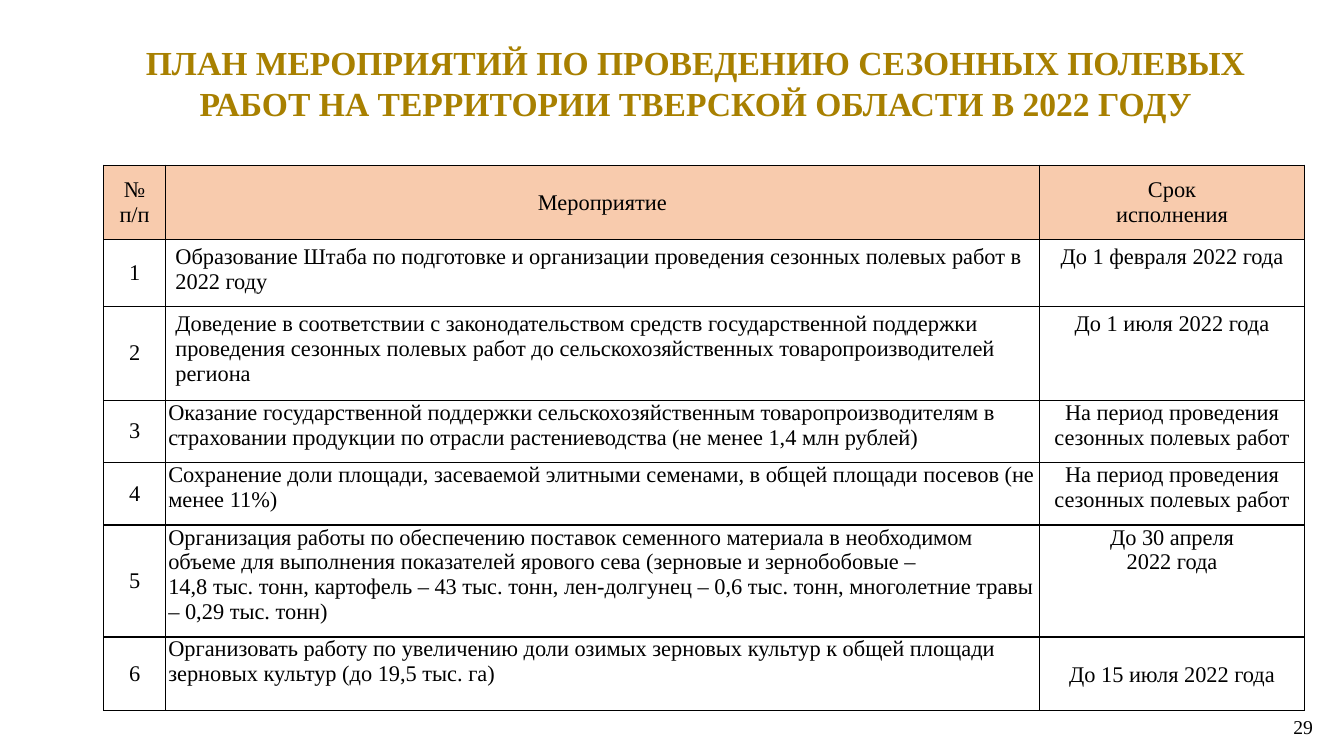
from lxml import etree
from pptx import Presentation
from pptx.dml.color import RGBColor
from pptx.enum.text import MSO_ANCHOR, PP_ALIGN
from pptx.oxml.ns import qn
from pptx.util import Inches, Pt

LEFT, CENTER, RIGHT = PP_ALIGN.LEFT, PP_ALIGN.CENTER, PP_ALIGN.RIGHT
TOP, MIDDLE = MSO_ANCHOR.TOP, MSO_ANCHOR.MIDDLE
TITLE_ONLY = 5

HEADER = ["№\nп/п", "Мероприятие", "Срок\nисполнения"]
ACTIVITIES = [
    ("Образование Штаба по подготовке и организации проведения сезонных полевых работ в 2022 году",
     "До 1 февраля 2022 года"),
    ("Доведение в соответствии с законодательством средств государственной поддержки проведения "
     "сезонных полевых работ до сельскохозяйственных товаропроизводителей региона",
     "До 1 июля 2022 года"),
    ("Оказание государственной поддержки сельскохозяйственным товаропроизводителям в страховании "
     "продукции по отрасли растениеводства (не менее 1,4 млн рублей)",
     "На период проведения сезонных полевых работ"),
    ("Сохранение доли площади, засеваемой элитными семенами, в общей площади посевов (не менее 11%)",
     "На период проведения сезонных полевых работ"),
    ("Организация работы по обеспечению поставок семенного материала в необходимом объеме для "
     "выполнения показателей ярового сева (зерновые и зернобобовые –\v14,8 тыс. тонн, картофель – "
     "43 тыс. тонн, лен-долгунец – 0,6 тыс. тонн, многолетние травы – 0,29 тыс. тонн)",
     "До 30 апреля\n2022 года"),
    ("Организовать работу по увеличению доли озимых зерновых культур к общей площади зерновых "
     "культур (до 19,5 тыс. га)",
     "До 15 июля 2022 года"),
]
COLUMN_WIDTHS = [0.61, 8.67, 2.63]
ROW_HEIGHTS = [0.74, 0.66, 0.93, 0.62, 0.62, 1.11, 0.73]
WIDE_INSETS = (0.1, 0.05, 0.1, 0.05)
TIGHT_INSETS = (0.03, 0, 0.03, 0)
FIRST_TIGHT_ROW = 3


def color(value):
    return RGBColor.from_string(value)


class SlideBuilder:
    font_name = "Times New Roman"
    black, gold, peach = "000000", "A88000", "F8CBAD"

    def __init__(self, page):
        self.page = page

    def set_text(self, frame, text, size, hue, align, bold=False):
        frame.word_wrap = True
        frame.text = text
        for para in frame.paragraphs:
            para.alignment = align
            para.font.name = self.font_name
            para.font.size = Pt(size)
            para.font.bold = bold
            para.font.color.rgb = color(hue)

    def title(self, text, left, top, width, height):
        box = self.page.shapes.title
        box.left, box.top = Inches(left), Inches(top)
        box.width, box.height = Inches(width), Inches(height)
        box.text_frame.vertical_anchor = TOP
        self.set_text(box.text_frame, text, 24, self.gold, CENTER, bold=True)

    def label(self, text, left, top, width, height):
        box = self.page.shapes.add_textbox(
            Inches(left), Inches(top), Inches(width), Inches(height))
        self.set_text(box.text_frame, text, 14, self.black, RIGHT)

    def borders(self, cell):
        properties = cell._tc.get_or_add_tcPr()
        for side in ("a:lnL", "a:lnR", "a:lnT", "a:lnB"):
            line = etree.SubElement(properties, qn(side), w=str(Pt(1)))
            fill = etree.SubElement(line, qn("a:solidFill"))
            etree.SubElement(fill, qn("a:srgbClr"), val=self.black)

    def cell(self, cell, text, align, anchor, insets, fill=None):
        left, top, right, bottom = insets
        cell.margin_left, cell.margin_right = Inches(left), Inches(right)
        cell.margin_top, cell.margin_bottom = Inches(top), Inches(bottom)
        cell.vertical_anchor = anchor
        self.borders(cell)
        if fill:
            cell.fill.solid()
            cell.fill.fore_color.rgb = color(fill)
        else:
            cell.fill.background()
        self.set_text(cell.text_frame, text, 16, self.black, align)

    def table(self, left, top, widths, heights):
        table = self.page.shapes.add_table(
            len(heights), len(widths), Inches(left), Inches(top),
            Inches(sum(widths)), Inches(sum(heights))).table
        table.first_row = table.horz_banding = False
        for column, width in zip(table.columns, widths):
            column.width = Inches(width)
        for row, height in zip(table.rows, heights):
            row.height = Inches(height)
        return table


def main():
    deck = Presentation()
    deck.slide_width, deck.slide_height = Inches(13.33), Inches(7.5)
    builder = SlideBuilder(deck.slides.add_slide(deck.slide_layouts[TITLE_ONLY]))

    # Title
    builder.title("ПЛАН МЕРОПРИЯТИЙ ПО ПРОВЕДЕНИЮ СЕЗОННЫХ ПОЛЕВЫХ РАБОТ "
                  "НА ТЕРРИТОРИИ ТВЕРСКОЙ ОБЛАСТИ В 2022 ГОДУ", 1.13, 0.37, 11.54, 1.28)

    # Table header
    table = builder.table(1.03, 1.64, COLUMN_WIDTHS, ROW_HEIGHTS)
    for column, text in enumerate(HEADER):
        builder.cell(table.cell(0, column), text, CENTER, MIDDLE, WIDE_INSETS, builder.peach)

    # Activities; the last deadline sits one line lower
    for row, (activity, deadline) in enumerate(ACTIVITIES, start=1):
        insets = TIGHT_INSETS if row >= FIRST_TIGHT_ROW else WIDE_INSETS
        deadline_insets = (0.03, 0.25, 0.03, 0) if row == len(ACTIVITIES) else insets
        builder.cell(table.cell(row, 0), str(row), CENTER, MIDDLE, WIDE_INSETS)
        builder.cell(table.cell(row, 1), activity, LEFT, TOP, insets)
        builder.cell(table.cell(row, 2), deadline, CENTER, TOP, deadline_insets)

    # Page number
    builder.label("29", 12.49, 7.04, 0.63, 0.34)

    deck.save("out.pptx")


if __name__ == "__main__":
    main()
